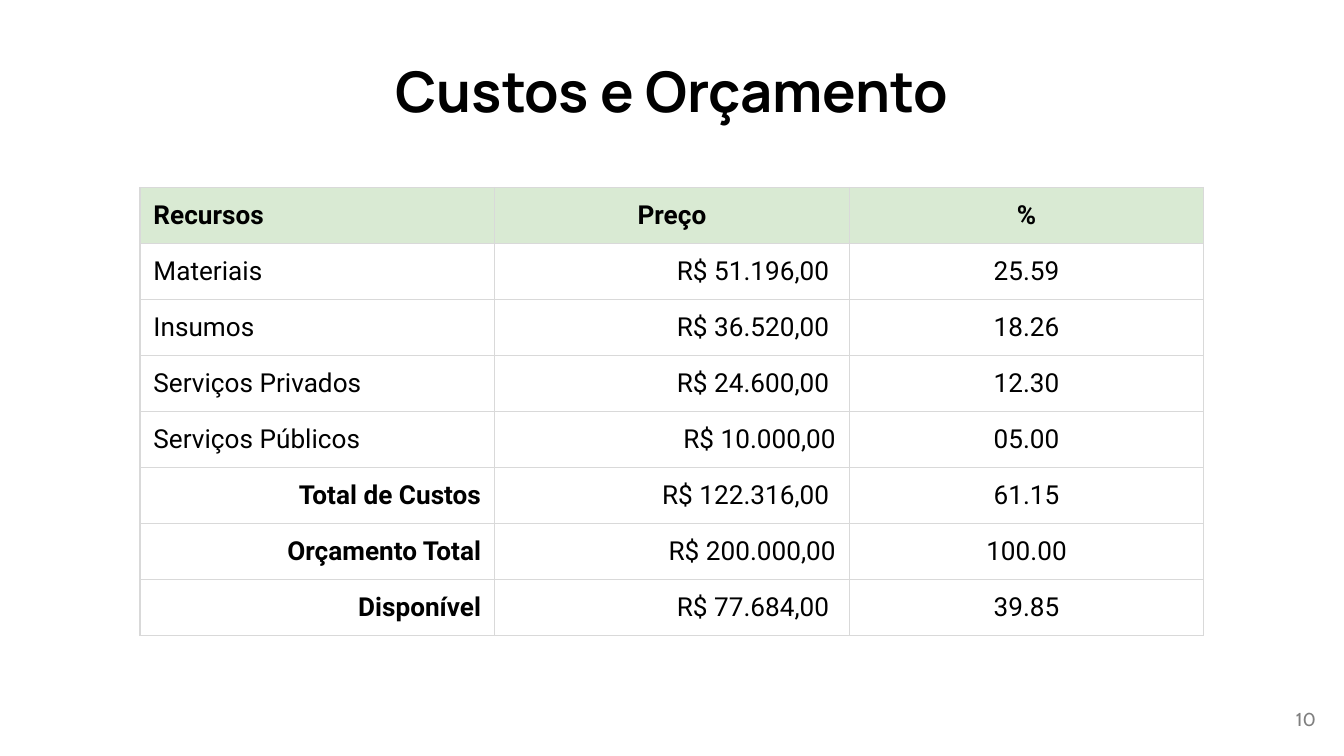
from lxml.etree import SubElement
from pptx import Presentation
from pptx.dml.color import RGBColor
from pptx.enum.text import MSO_ANCHOR as Anchor, MSO_AUTO_SIZE as AutoSize, PP_ALIGN as Align
from pptx.oxml.ns import qn
from pptx.util import Pt

BLACK, GRAY, BORDER, HEADER_FILL = "000000", "7F7F7F", "D9D9D9", "D9EAD3"
INSET = 7.2

HEADER = ("Recursos", "Preço", "%")
# The space after some prices is part of their currency format
COSTS = [
    ("Materiais", "R$ 51.196,00 ", "25.59"),
    ("Insumos", "R$ 36.520,00 ", "18.26"),
    ("Serviços Privados", "R$ 24.600,00 ", "12.30"),
    ("Serviços Públicos", "R$ 10.000,00", "05.00"),
]
TOTALS = [
    ("Total de Custos", "R$ 122.316,00 ", "61.15"),
    ("Orçamento Total", "R$ 200.000,00", "100.00"),
    ("Disponível", "R$ 77.684,00 ", "39.85"),
]


def color(hex_code):
    return RGBColor.from_string(hex_code)


def write(frame, text, font, size, hex_code, align, bold=False):
    frame.text = text
    paragraph = frame.paragraphs[0]
    paragraph.alignment = align
    style = paragraph.runs[0].font
    style.name, style.size, style.bold = font, Pt(size), bold
    style.color.rgb = color(hex_code)


def set_frame(frame, anchor):
    frame.word_wrap = True
    frame.auto_size = AutoSize.NONE
    frame.vertical_anchor = anchor
    frame.margin_left = frame.margin_right = Pt(INSET)
    frame.margin_top = frame.margin_bottom = Pt(INSET)


def add_title(slide, left, top, width, height):
    title = slide.shapes.title
    title.left, title.top, title.width, title.height = map(Pt, (left, top, width, height))
    set_frame(title.text_frame, Anchor.TOP)
    write(title.text_frame, "Custos e Orçamento", "Manrope", 30, BLACK, Align.CENTER, True)


def set_borders(cell):
    properties = cell._tc.get_or_add_tcPr()
    for side in ("a:lnL", "a:lnR", "a:lnT", "a:lnB"):
        line = SubElement(properties, qn(side), w=str(Pt(0.75)))
        SubElement(SubElement(line, qn("a:solidFill")), qn("a:srgbClr"), val=BORDER)


def format_cell(cell, text, align, bold, fill):
    cell.vertical_anchor = Anchor.MIDDLE
    cell.margin_left = cell.margin_right = Pt(INSET)
    cell.margin_top = cell.margin_bottom = Pt(3)
    write(cell.text_frame, text, "Roboto", 14, BLACK, align, bold)
    set_borders(cell)
    if fill:
        cell.fill.solid()
        cell.fill.fore_color.rgb = color(fill)
    else:
        cell.fill.background()


def add_budget(slide, left, top, width, height):
    rows = [HEADER, *COSTS, *TOTALS]
    budget = slide.shapes.add_table(
        len(rows), len(HEADER), Pt(left), Pt(top), Pt(width), Pt(height)).table
    budget.first_row = budget.horz_banding = False
    first_total = 1 + len(COSTS)
    for r, row in enumerate(rows):
        is_header, is_total = r == 0, r >= first_total
        aligns = (Align.RIGHT if is_total else Align.LEFT,
                  Align.CENTER if is_header else Align.RIGHT,
                  Align.CENTER)
        for c, text in enumerate(row):
            bold = is_header or (is_total and c == 0)
            format_cell(budget.cell(r, c), text, aligns[c], bold,
                        HEADER_FILL if is_header else None)


def add_page_number(slide, left, top, width, height):
    number = slide.shapes.add_textbox(Pt(left), Pt(top), Pt(width), Pt(height))
    set_frame(number.text_frame, Anchor.MIDDLE)
    write(number.text_frame, "10", "Cabin", 10, GRAY, Align.RIGHT)


def main():
    deck = Presentation()
    deck.slide_width, deck.slide_height = Pt(720), Pt(405)
    slide = deck.slides.add_slide(deck.slide_layouts[5])  # title only
    slide.background.fill.solid()
    slide.background.fill.fore_color.rgb = color("FFFFFF")

    add_title(slide, 24.5, 23, 671, 49)
    add_budget(slide, 75, 100.5, 570, 240)
    add_page_number(slide, 669, 369.5, 43, 31)
    deck.save("out.pptx")


if __name__ == "__main__":
    main()
